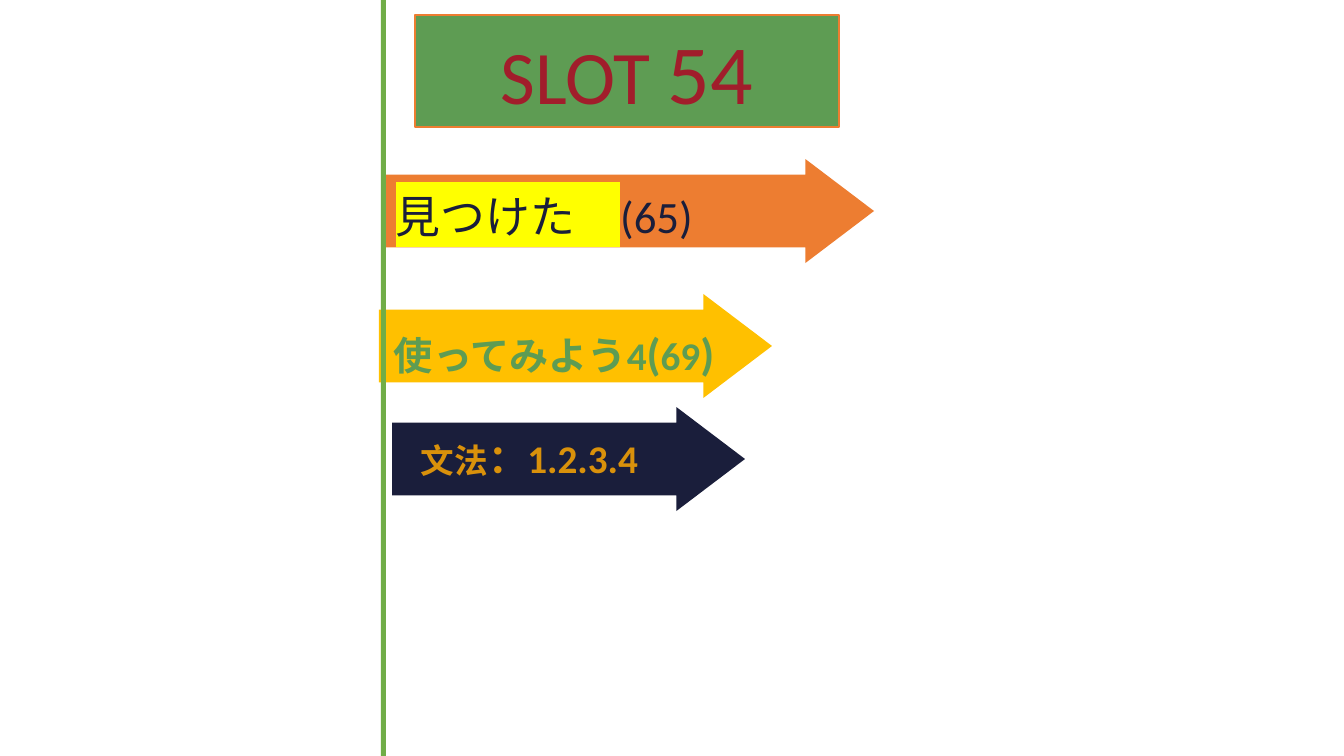
import pptx
import pptx.dml.color
import pptx.enum.shapes
import pptx.enum.text
import pptx.oxml.ns
import pptx.util
from lxml import etree

SHAPE = pptx.enum.shapes.MSO_SHAPE
ALIGN = pptx.enum.text.PP_ALIGN
ANCHOR = pptx.enum.text.MSO_ANCHOR
COLORS = {
    "orange": "ED7D31", "gold": "FFC000", "bar": "70AD47", "green": "5E9C53",
    "red": "A11D2B", "navy": "1A1E3B", "amber": "D9910B", "yellow": "FFFF00",
}


def px(n):
    return pptx.util.Emu(round(n * 914400 / 100.8))


def rgb(name):
    return pptx.dml.color.RGBColor.from_string(COLORS[name])


class Deck:
    font = "Calibri"
    arrow_height = 104
    arrow_adjustments = (0.70, 0.66)

    def __init__(self, width, height):
        self.prs = pptx.Presentation()
        self.prs.slide_width, self.prs.slide_height = px(width), px(height)
        self.s = self.prs.slides.add_slide(self.prs.slide_layouts[6])

    def shape(self, kind, x, y, w, h, fill, line=None):
        sp = self.s.shapes.add_shape(kind, px(x), px(y), px(w), px(h))
        sp.shadow.inherit = False
        sp.fill.solid()
        sp.fill.fore_color.rgb = rgb(fill)
        if line:
            sp.line.color.rgb = rgb(line)
            sp.line.width = pptx.util.Pt(1)
        else:
            sp.line.fill.background()
        return sp

    def arrow(self, x, y, w, fill):
        sp = self.shape(SHAPE.RIGHT_ARROW, x, y, w, self.arrow_height, fill)
        for i, value in enumerate(self.arrow_adjustments):
            sp.adjustments[i] = value

    def text(self, sp, runs, color, bold=False, align=ALIGN.LEFT):
        """Each run is (text, size) or (text, size, highlight)."""
        tf = sp.text_frame
        tf.word_wrap = True
        p = tf.paragraphs[0]
        p.alignment = align
        p.font.name, p.font.bold = self.font, bold
        p.font.color.rgb = rgb(color)
        for text, size, *highlight in runs:
            r = p.add_run()
            r.text = text
            r.font.size = pptx.util.Pt(size)
            for name in highlight:
                rpr = r._r.get_or_add_rPr()
                mark = etree.SubElement(rpr, pptx.oxml.ns.qn("a:highlight"))
                etree.SubElement(mark, pptx.oxml.ns.qn("a:srgbClr"), val=COLORS[name])

    def label(self, x, y, w, h, runs, color, bold=False):
        sp = self.s.shapes.add_textbox(px(x), px(y), px(w), px(h))
        self.text(sp, runs, color, bold)


def main():
    deck = Deck(1344, 756)

    # Upper arrows, with the vertical bar across their left ends
    deck.arrow(381, 159, 493, "orange")
    deck.arrow(379, 294, 393, "gold")
    deck.shape(SHAPE.RECTANGLE, 381, 0, 5, 756, "bar")

    # Title
    title = deck.shape(SHAPE.RECTANGLE, 415, 15, 424, 112, "green", "orange")
    title.text_frame.vertical_anchor = ANCHOR.MIDDLE
    deck.text(title, [("SLOT ", 54), ("54", 60)], "red", align=ALIGN.CENTER)

    # Labels of the upper arrows
    deck.label(386, 184, 561, 64, [("見つけた　", 32, "yellow"), ("(65)", 32)], "navy")
    deck.label(384, 321, 416, 64,
               [("使ってみよう4", 28), ("(", 32), ("69", 28), (")", 32)], "green", bold=True)

    # Grammar arrow
    deck.arrow(392, 407, 353, "navy")
    deck.label(411, 429, 328, 57, [("文法", 24), ("：1.2.3.4", 28)], "amber", bold=True)

    deck.prs.save("out.pptx")


if __name__ == "__main__":
    main()
